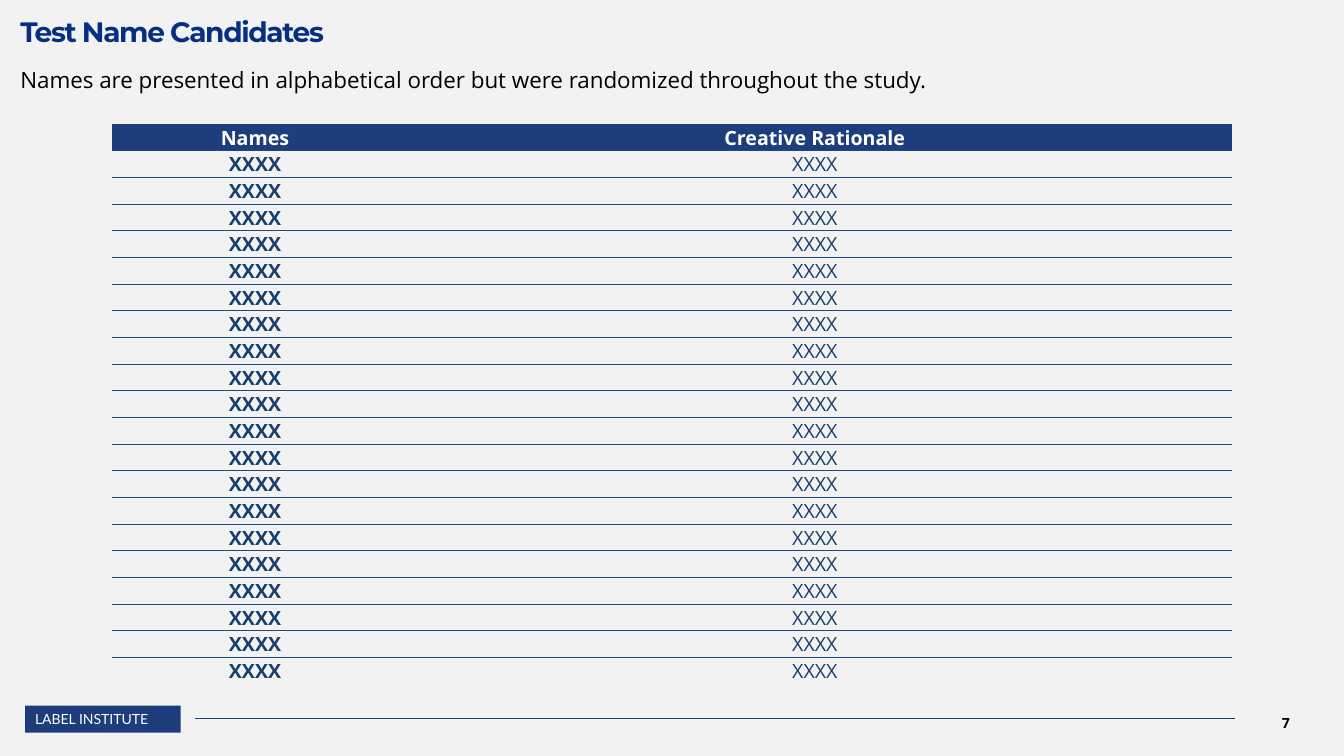
from pptx import Presentation
from pptx.dml.color import RGBColor
from pptx.enum.shapes import MSO_CONNECTOR, MSO_SHAPE
from pptx.enum.text import MSO_ANCHOR, PP_ALIGN
from pptx.oxml import parse_xml
from pptx.oxml.ns import nsdecls, qn
from pptx.util import Pt
from lxml.etree import SubElement

COLORS = {
    "background": "F2F2F2",
    "title": "062E83",
    "text": "000000",
    "white": "FFFFFF",
    "footer": "1D3C7C",
    "header": "1D3D7C",
    "cell": "17406D",
    "rule": "1F497D",
}
PLAIN_TABLE_STYLE = "{2D5ABB26-0587-4C30-8999-92F81FD0307C}"
COLUMN_WIDTHS = (204.4, 595.4)
ROW_HEIGHT = 19.06
NAME_COUNT = 20
HEADINGS = ("Names", "Creative Rationale")


class SlideBuilder:
    def __init__(self, deck):
        self.page = deck.slides.add_slide(deck.slide_layouts[5])
        self.font = "Open Sans"
        self.fill(self.page.background, "background")

    def color(self, name):
        return RGBColor.from_string(COLORS[name])

    def fill(self, target, name):
        target.fill.solid()
        target.fill.fore_color.rgb = self.color(name)

    def set_text(self, frame, text, size, color, bold=False, font=None,
                 align=PP_ALIGN.LEFT):
        para = frame.paragraphs[0]
        para.text = text
        para.alignment = align
        para.font.name = font or self.font
        para.font.size = Pt(size)
        para.font.bold = bold
        para.font.color.rgb = self.color(color)
        return para

    def layout(self, holder, side=0, top=0, anchor=MSO_ANCHOR.TOP):
        holder.margin_left = holder.margin_right = Pt(side)
        holder.margin_top, holder.margin_bottom = Pt(top), Pt(0)
        holder.vertical_anchor = anchor
        holder.word_wrap = True

    def title(self, text, left, top, width, height):
        box = self.page.shapes.title
        box.left, box.top, box.width, box.height = map(Pt, (left, top, width, height))
        self.layout(box.text_frame, top=15)
        para = self.set_text(box.text_frame, text, 20, "title", bold=True,
                             font="Montserrat")
        para.line_spacing = 0.8
        para.runs[0].font._element.set("spc", "-100")

    def text(self, text, left, top, width, height, size,
             anchor=MSO_ANCHOR.TOP, **style):
        box = self.page.shapes.add_textbox(*map(Pt, (left, top, width, height)))
        self.layout(box.text_frame, anchor=anchor)
        self.set_text(box.text_frame, text, size, "text", **style)

    def label(self, text, left, top, width, height):
        box = self.page.shapes.add_shape(
            MSO_SHAPE.RECTANGLE, *map(Pt, (left, top, width, height)))
        box.shadow.inherit = False
        self.fill(box, "footer")
        box.line.fill.background()
        self.layout(box.text_frame, side=7.2, anchor=MSO_ANCHOR.MIDDLE)
        self.set_text(box.text_frame, text, 10, "white", font="Lato")

    def rule(self, left, right, top):
        line = self.page.shapes.add_connector(
            MSO_CONNECTOR.STRAIGHT, Pt(left), Pt(top), Pt(right), Pt(top))
        line.line.color.rgb = self.color("footer")
        line.line.width = Pt(0.5)
        SubElement(line._element.spPr, qn("a:effectLst"))

    def border(self, cell, side):
        cell._tc.get_or_add_tcPr().insert(0, parse_xml(
            f'<a:{side} {nsdecls("a")} w="6350"><a:solidFill>'
            f'<a:srgbClr val="{COLORS["rule"]}"/></a:solidFill></a:{side}>'))

    def cell(self, cell, text, is_header, is_name):
        self.fill(cell, "header" if is_header else "background")
        cell.margin_left = cell.margin_right = Pt(0 if is_header else 5)
        cell.margin_top = cell.margin_bottom = Pt(0)
        cell.vertical_anchor = MSO_ANCHOR.MIDDLE
        self.set_text(cell.text_frame, text, 14, "white" if is_header else "cell",
                      bold=is_header or is_name, align=PP_ALIGN.CENTER)

    def table(self, rows, left, top):
        table = self.page.shapes.add_table(
            len(rows), len(COLUMN_WIDTHS), Pt(left), Pt(top),
            Pt(sum(COLUMN_WIDTHS)), Pt(ROW_HEIGHT * len(rows))).table
        table.horz_banding = False
        table._tbl.tblPr.find(qn("a:tableStyleId")).text = PLAIN_TABLE_STYLE
        for column, width in zip(table.columns, COLUMN_WIDTHS):
            column.width = Pt(width)
        for row_index, texts in enumerate(rows):
            table.rows[row_index].height = Pt(ROW_HEIGHT)
            for column_index, text in enumerate(texts):
                cell = table.cell(row_index, column_index)
                self.cell(cell, text, row_index == 0, column_index == 0)
                if row_index < len(rows) - 1:
                    self.border(cell, "lnB")
                if row_index > 0:
                    self.border(cell, "lnT")


def main():
    deck = Presentation()
    deck.slide_width, deck.slide_height = Pt(960), Pt(540)
    slide = SlideBuilder(deck)
    slide.text("7", 879, 502, 79, 29, 10, bold=True,
               align=PP_ALIGN.CENTER, anchor=MSO_ANCHOR.MIDDLE)
    slide.label("LABEL INSTITUTE", 18, 504, 111, 19.4)
    slide.rule(139, 882.5, 512.8)
    slide.title("Test Name Candidates", 14.5, 0, 923, 34.5)
    slide.table([HEADINGS] + [("XXXX", "XXXX")] * NAME_COUNT, 80, 88.6)
    slide.text("Names are presented in alphabetical order but were randomized "
               "throughout the study.", 14.5, 47.5, 691, 39, 16)
    deck.save("out.pptx")


if __name__ == "__main__":
    main()
